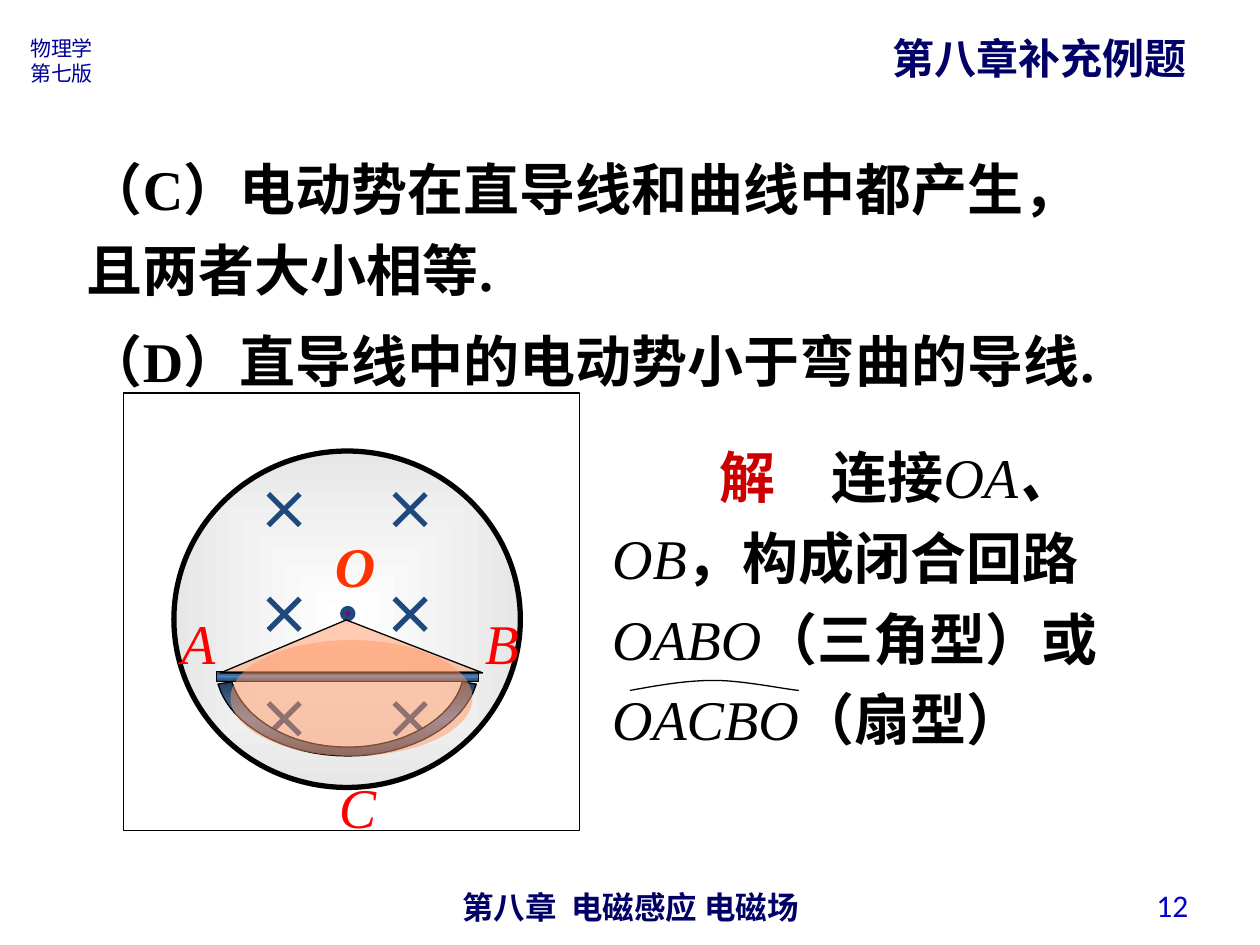
from itertools import product

from lxml.etree import SubElement
from pptx import Presentation
from pptx.dml.color import RGBColor
from pptx.enum.shapes import MSO_CONNECTOR as Connector, MSO_SHAPE as Shape
from pptx.enum.text import MSO_ANCHOR as Anchor, MSO_AUTO_SIZE as AutoSize, PP_ALIGN as Align
from pptx.oxml.ns import qn
from pptx.util import Inches, Pt

BLACK = RGBColor(0, 0, 0)
NAVY = RGBColor(0, 0, 0x66)
HEADER_BLUE = RGBColor(0, 0, 0x99)
NUMBER_BLUE = RGBColor(0, 0, 0xCC)
CROSS_BLUE = RGBColor(0x1F, 0x49, 0x7D)
PURPLE = RGBColor(0x80, 0, 0x80)
PEACH = RGBColor(0xFF, 0x99, 0x66)
RED = RGBColor(0xFF, 0, 0)
DARK_RED = RGBColor(0xCC, 0, 0)
ORANGE = RGBColor(0xFF, 0x33, 0)
FIELD_STOPS = [(0, "FFFFFF"), (100, "E7E7E7")]
METAL_STOPS = [(0, "253C57"), (50, "4F81BD"), (100, "253C57")]

CJK, TIMES = "Noto Sans CJK SC", "Times New Roman"
BOLD = dict(name=TIMES, size=Pt(32), bold=True)
ITALIC = dict(name=TIMES, size=Pt(32), bold=False, italic=True)
BOLD_ITALIC = dict(BOLD, italic=True)

TITLE = ("第八章补充例题", (6.98, 0.21, 2.7, 0.5),
         dict(name=CJK, size=Pt(24), bold=True), NAVY)
# paragraphs, place, font, colour, paragraph format, frame format
TEXTS = [
    (["第八章  电磁感应 电磁场"], (3.42, 7, 3.17, 0.29),
     dict(name="Arial", size=Pt(18), bold=True), NAVY, dict(alignment=Align.CENTER), {}),
    (["物理学", "第七版"], (0.14, 0.23, 0.72, 0.5),
     dict(name=CJK, size=Pt(12)), HEADER_BLUE, {}, {}),
    (["12"], (7.2, 6.98, 2.33, 0.4), dict(name="Calibri", size=Pt(18)), NUMBER_BLUE,
     dict(alignment=Align.RIGHT), dict(vertical_anchor=Anchor.MIDDLE)),
    (["（C）电动势在直导线和曲线中都产生，且两者大小相等."], (0.59, 1.07, 7.7, 1.38),
     BOLD, BLACK, dict(line_spacing=1.2), {}),
    (["（D）直导线中的电动势小于弯曲的导线."], (0.59, 2.33, 8.67, 0.85),
     BOLD, BLACK, dict(line_spacing=1.4), {}),
]
SOLUTION_PLACE = (4.76, 3.36, 4.64, 2.66)
SOLUTION_INDENT = 0.85
SOLUTION = [
    ("解　", BOLD, DARK_RED), ("连接", BOLD, BLACK), ("OA", ITALIC, BLACK),
    ("、", BOLD_ITALIC, BLACK), ("OB", ITALIC, BLACK), ("，构成闭合回路", BOLD, BLACK),
    ("OABO", ITALIC, BLACK), ("（三角型）或", BOLD, BLACK),
    ("OACBO", ITALIC, BLACK), ("（扇型）", BOLD, BLACK),
]
LABELS = [
    ("O", (2.56, 4.17, 0.52, 0.64), BOLD_ITALIC, ORANGE),
    ("B", (3.75, 4.78, 0.47, 0.64), ITALIC, RED),
    ("A", (1.34, 4.78, 0.47, 0.64), ITALIC, RED),
    ("C", (2.59, 6.08, 0.49, 0.64), ITALIC, RED),
]
CROSS_LEFTS, CROSS_TOPS, CROSS_SIZE = (2.13, 3.13), (3.92, 4.75, 5.58), 0.25

# Each curve is a list of cubic pieces: start, two controls, end
ARC_MARK = [[(5, 5.48), (5.22, 5.44), (5.44, 5.4), (5.67, 5.4)],
            [(5.67, 5.4), (5.89, 5.4), (6.23, 5.47), (6.34, 5.48)]]
CURVED_WIRE = [[(1.84, 5.41), (1.93, 5.71), (2.31, 5.93), (2.76, 5.93)],
               [(2.76, 5.93), (3.2, 5.93), (3.59, 5.71), (3.67, 5.41)],
               [(3.78, 5.43), (3.68, 5.76), (3.26, 6), (2.76, 6)],
               [(2.76, 6), (2.26, 6), (1.83, 5.76), (1.73, 5.43)]]


def inches(values):
    return [Inches(value) for value in values]


def apply(target, values):
    for name, value in values.items():
        setattr(target, name, value)


def add_span(para, text, font, color):
    span = para.add_run()
    span.text = text
    apply(span.font, font)
    span.font.color.rgb = color
    SubElement(span.font._element, qn("a:ea"), typeface=CJK)


def add_text(page, place, paragraphs, para_format={}, frame_format={}):
    """Add a box whose paragraphs are lists of (text, font, colour)."""
    frame = page.shapes.add_textbox(*inches(place)).text_frame
    apply(frame, {"word_wrap": True, **frame_format})
    for index, spans in enumerate(paragraphs):
        para = frame.add_paragraph() if index else frame.paragraphs[0]
        apply(para, para_format)
        for span in spans:
            add_span(para, *span)
    return frame


def set_gradient(shape, stops, linear):
    """Fill with the stops, top to bottom if linear, else from the centre."""
    shape.fill.gradient()
    gradient = shape._element.spPr.find(qn("a:gradFill"))
    for child in list(gradient):
        gradient.remove(child)
    stop_list = SubElement(gradient, qn("a:gsLst"))
    for position, color in stops:
        stop = SubElement(stop_list, qn("a:gs"), pos=str(position * 1000))
        SubElement(stop, qn("a:srgbClr"), val=color)
    if linear:
        SubElement(gradient, qn("a:lin"), ang="5400000", scaled="1")
    else:
        centre = SubElement(gradient, qn("a:path"), {"path": "rect"})
        SubElement(centre, qn("a:fillToRect"), {side: "50000" for side in "ltrb"})


def style(shape, fill=None, alpha=None, line=BLACK, width=0.75):
    shape.shadow.inherit = False
    if fill is None:
        shape.fill.background()
    else:
        shape.fill.solid()
        shape.fill.fore_color.rgb = fill
    if alpha:
        color = shape._element.spPr.find(qn("a:solidFill"))[0]
        SubElement(color, qn("a:alpha"), val=str(alpha * 1000))
    if line is None:
        shape.line.fill.background()
    else:
        shape.line.color.rgb = line
        shape.line.width = Pt(width)


def add_shape(page, kind, place, **look):
    shape = page.shapes.add_shape(kind, *inches(place))
    style(shape, **look)
    return shape


def add_curve(page, pieces, close, steps=16):
    points = []
    for a, b, c, d in pieces:
        for t in (step / steps for step in range(steps + 1)):
            u = 1 - t
            points.append([Inches(u**3 * p + 3*u*u*t * q + 3*u*t*t * r + t**3 * s)
                           for p, q, r, s in zip(a, b, c, d)])
    builder = page.shapes.build_freeform(*points[0])
    builder.add_line_segments(points[1:], close=close)
    curve = builder.convert_to_shape()
    style(curve)
    return curve


def add_cross(page, left, top):
    right, bottom = left + CROSS_SIZE, top + CROSS_SIZE
    for ends in ((left, top, right, bottom), (right, top, left, bottom)):
        stroke = page.shapes.add_connector(Connector.STRAIGHT, *inches(ends))
        stroke.line.color.rgb = CROSS_BLUE
        stroke.line.width = Pt(3)
        SubElement(stroke._element.spPr, qn("a:effectLst"))


def add_title(page):
    text, place, font, color = TITLE
    title = page.shapes.title
    apply(title, dict(zip(("left", "top", "width", "height"), inches(place))))
    apply(title.text_frame, dict(word_wrap=False, vertical_anchor=Anchor.TOP,
                                 auto_size=AutoSize.NONE))
    para = title.text_frame.paragraphs[0]
    para.alignment = Align.LEFT
    add_span(para, text, font, color)


def add_solution(page):
    frame = add_text(page, SOLUTION_PLACE, [SOLUTION], dict(line_spacing=1.2))
    properties = frame.paragraphs[0]._p.get_or_add_pPr()
    properties.set("marL", "0")
    properties.set("indent", str(Inches(SOLUTION_INDENT)))
    add_curve(page, ARC_MARK, close=False)


def add_diagram(page):
    field = add_shape(page, Shape.OVAL, (1.38, 3.58, 2.75, 2.67), width=3)
    set_gradient(field, FIELD_STOPS, linear=False)
    for left, top in product(CROSS_LEFTS, CROSS_TOPS):
        add_cross(page, left, top)
    add_shape(page, Shape.OVAL, (2.72, 4.83, 0.08, 0.08), fill=PURPLE, line=CROSS_BLUE, width=3)
    curved_wire = add_curve(page, CURVED_WIRE, close=True)
    straight_wire = add_shape(page, Shape.RECTANGLE, (1.72, 5.33, 2.08, 0.08))
    for wire in (curved_wire, straight_wire):
        set_gradient(wire, METAL_STOPS, linear=True)
    add_shape(page, Shape.RECTANGLE, (0.98, 3.12, 3.62, 3.47))
    triangle = add_shape(page, Shape.ISOSCELES_TRIANGLE, (1.75, 4.92, 2.08, 0.42),
                         fill=PEACH, alpha=50)
    triangle.adjustments[0] = 0.48
    add_shape(page, Shape.OVAL, (1.83, 5.08, 1.92, 0.92), fill=PEACH, alpha=50, line=None)
    for text, place, font, color in LABELS:
        add_text(page, place, [[(text, font, color)]], frame_format=dict(word_wrap=False))


def main():
    deck = Presentation()
    deck.slide_width, deck.slide_height = Inches(10), Inches(7.5)
    page = deck.slides.add_slide(deck.slide_layouts[5])
    add_title(page)
    for lines, place, font, color, para_format, frame_format in TEXTS:
        add_text(page, place, [[(line, font, color)] for line in lines],
                 para_format, frame_format)
    add_solution(page)
    add_diagram(page)
    deck.save("out.pptx")


if __name__ == "__main__":
    main()
